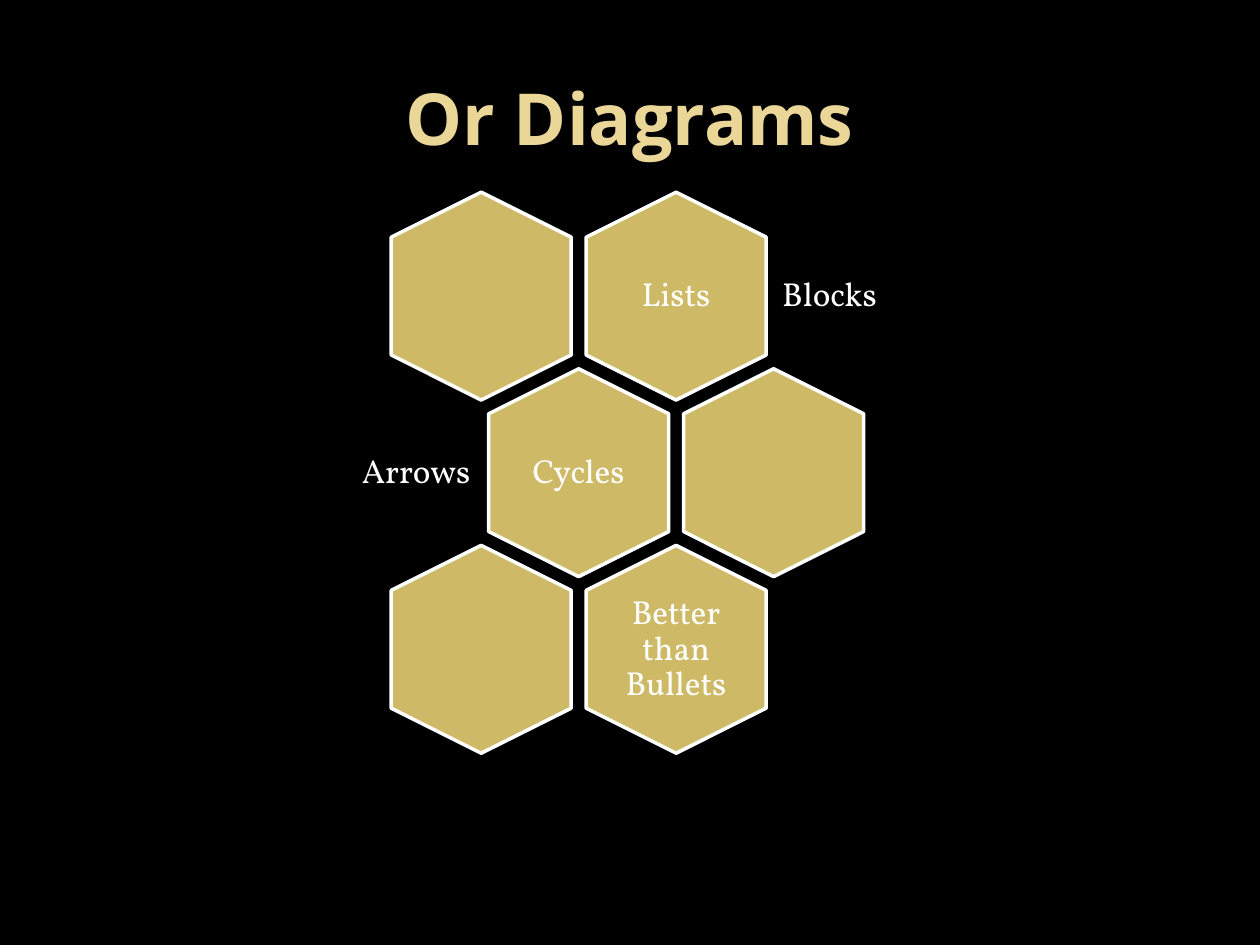
from pptx import Presentation
from pptx.dml.color import RGBColor as Rgb
from pptx.enum.shapes import MSO_SHAPE as Kind
from pptx.enum.text import MSO_ANCHOR as Anchor, PP_ALIGN as Align
from pptx.util import Cm, Pt

HUES = {"back": "000000", "gold": "CEB966", "pale": "EAD696",
        "deep": "E7D081", "white": "FFFFFF"}

deck = Presentation()
deck.slide_width, deck.slide_height = Cm(25.4), Cm(19.05)
slide = deck.slides.add_slide(deck.slide_layouts[6])
slide.background.fill.solid()
slide.background.fill.fore_color.rgb = Rgb.from_string(HUES["back"])


def write(text, x, y, w, h, font="Vollkorn", size=19, hue="white",
          bold=False, align=Align.CENTER, pad=0.2, lead=0.9):
    box = slide.shapes.add_textbox(Cm(x), Cm(y), Cm(w), Cm(h))
    frame = box.text_frame
    frame.word_wrap = True
    frame.vertical_anchor = Anchor.MIDDLE
    frame.margin_left = frame.margin_right = Cm(pad)
    frame.margin_top = frame.margin_bottom = Cm(pad)
    para = frame.paragraphs[0]
    para.alignment = align
    para.line_spacing = lead
    run = para.add_run()
    run.text = text
    run.font.name = font
    run.font.size = Pt(size)
    run.font.bold = bold
    run.font.color.rgb = Rgb.from_string(HUES[hue])
    return run


title = write("Or Diagrams", 1.27, 0.76, 22.86, 3.18, font="Open Sans",
              size=41, hue="pale", bold=True, pad=0.25, lead=1.0)
fill = title.font.fill
fill.gradient()
fill.gradient_angle = 280
for stop, hue, spot in zip(fill.gradient_stops, ("pale", "deep"), (0.73, 1)):
    stop.color.rgb = Rgb.from_string(HUES[hue])
    stop.position = spot

LONG, WIDE = 4.19, 3.63
LEFT, TOP = 9.7, 5.97
STEP, DROP = 3.93, 3.56
ROWS = [("", "Lists"), ("Cycles", ""), ("", "Better than Bullets")]

for row, words in enumerate(ROWS):
    for col, word in enumerate(words):
        x = LEFT + STEP * (col + row % 2 / 2)
        y = TOP + DROP * row
        cell = slide.shapes.add_shape(
            Kind.HEXAGON, Cm(x - LONG / 2), Cm(y - WIDE / 2), Cm(LONG), Cm(WIDE))
        cell.rotation = 90
        cell.shadow.inherit = False
        cell.fill.solid()
        cell.fill.fore_color.rgb = Rgb.from_string(HUES["gold"])
        cell.line.color.rgb = Rgb.from_string(HUES["white"])
        cell.line.width = Pt(2)
        if word:
            write(word, x - 1.26, y - 1.44, 2.52, 2.88)

SIDES = [("Blocks", 15.57, 4.67, Align.LEFT), ("Arrows", 5.16, 4.52, Align.RIGHT)]
for row, (word, x, w, align) in enumerate(SIDES):
    write(word, x, TOP + DROP * row - 1.26, w, 2.52, align=align)

deck.save("out.pptx")
